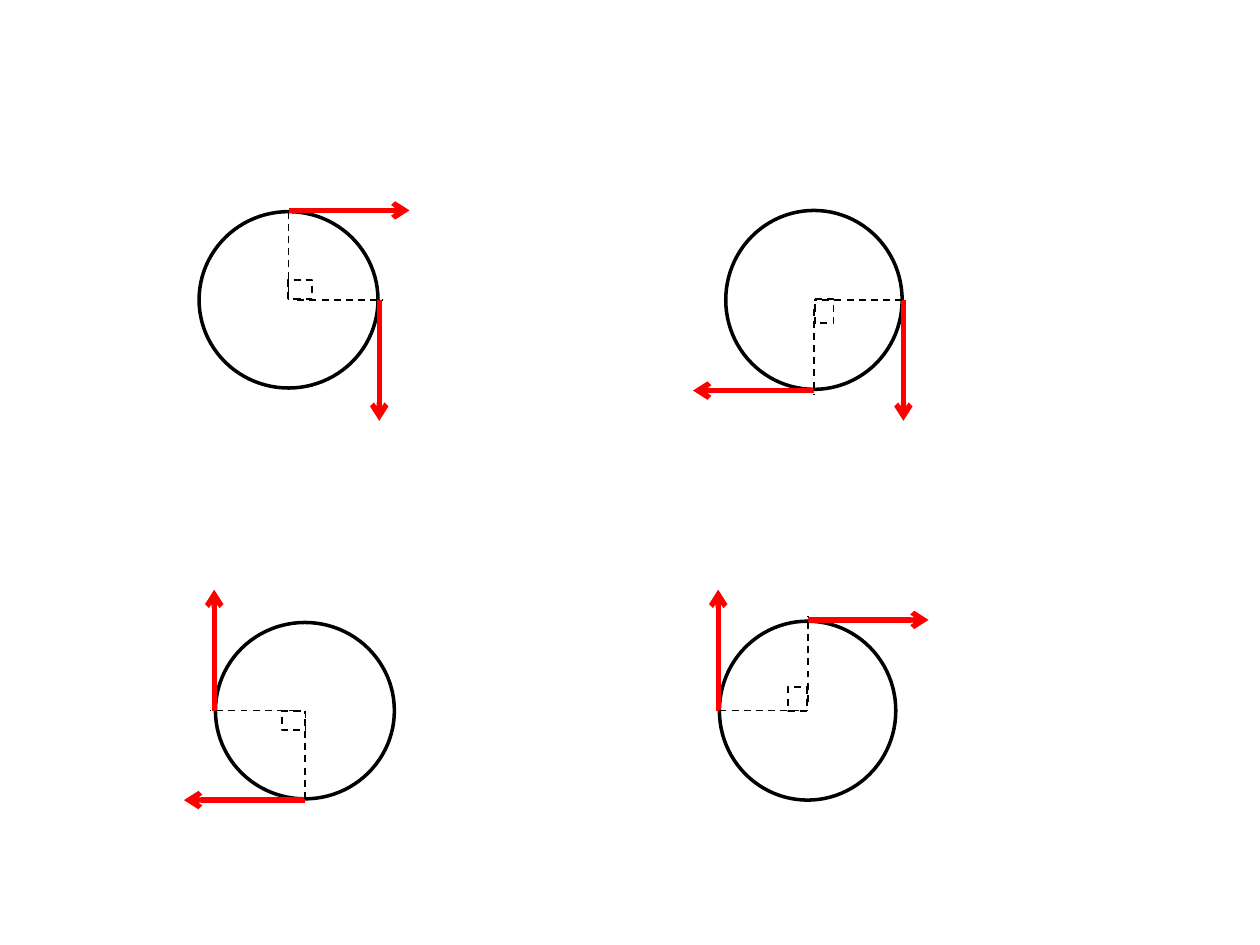
from lxml.etree import SubElement
from pptx import Presentation
from pptx.dml.color import RGBColor
from pptx.enum.dml import MSO_LINE
from pptx.enum.shapes import MSO_CONNECTOR, MSO_SHAPE
from pptx.oxml.ns import qn
from pptx.util import Inches, Pt

BLACK, RED = "000000", "FF0000"
WIDE, HIGH = 1.42, 1.4


def paint(line, color, width, dash=False):
    line.color.rgb = RGBColor.from_string(color)
    line.width = Pt(width)
    if dash:
        line.dash_style = MSO_LINE.DASH


def outline(group, kind, center, size, angle, width, dash=False):
    (x, y), (w, h) = center, size
    shape = group.shapes.add_shape(
        kind, Inches(x - w / 2), Inches(y - h / 2), Inches(w), Inches(h))
    shape.rotation = angle
    shape.shadow.inherit = False
    shape.fill.background()
    paint(shape.line, BLACK, width, dash)


def segment(group, start, end, color, width, arrow=False):
    ends = [Inches(v) for v in (*start, *end)]
    link = group.shapes.add_connector(MSO_CONNECTOR.STRAIGHT, *ends)
    paint(link.line, color, width, dash=not arrow)
    if arrow:
        SubElement(link.line._get_or_add_ln(), qn("a:tailEnd"), type="arrow")
    SubElement(link._element.spPr, qn("a:effectLst"))


def wheel(slide, left, top, turns):
    """Circle with two tangent arrows, rotated by quarter turns in its box."""
    group = slide.shapes.add_group_shape()
    angle = 90 * turns

    def spot(x, y):
        for _ in range(turns):
            x, y = -y, x
        return left + WIDE / 2 + x, top + HIGH / 2 + y

    # Right-angle mark and circle
    outline(group, MSO_SHAPE.RECTANGLE, spot(0.09, -0.08), (0.19, 0.15),
            angle, 1, dash=True)
    outline(group, MSO_SHAPE.OVAL, spot(0, 0), (WIDE, HIGH), angle, 2)
    # Tangent arrows
    for start, end in (((0, -0.71), (0.96, -0.71)), ((0.72, 0), (0.72, 0.96))):
        segment(group, spot(*start), spot(*end), RED, 3, arrow=True)
    # Dashed radii
    for start, end in (((0, -0.7), (0, 0)), ((0.07, 0), (0.75, 0))):
        segment(group, spot(*start), spot(*end), BLACK, 1)


def main():
    deck = Presentation()
    deck.slide_width, deck.slide_height = Inches(10), Inches(7.5)
    slide = deck.slides.add_slide(deck.slide_layouts[6])
    # One wheel per quarter turn
    boxes = ((1.58, 1.68), (5.75, 1.68), (1.71, 4.94), (5.7, 4.94))
    for turns, (left, top) in enumerate(boxes):
        wheel(slide, left, top, turns)
    deck.save("out.pptx")


if __name__ == "__main__":
    main()
